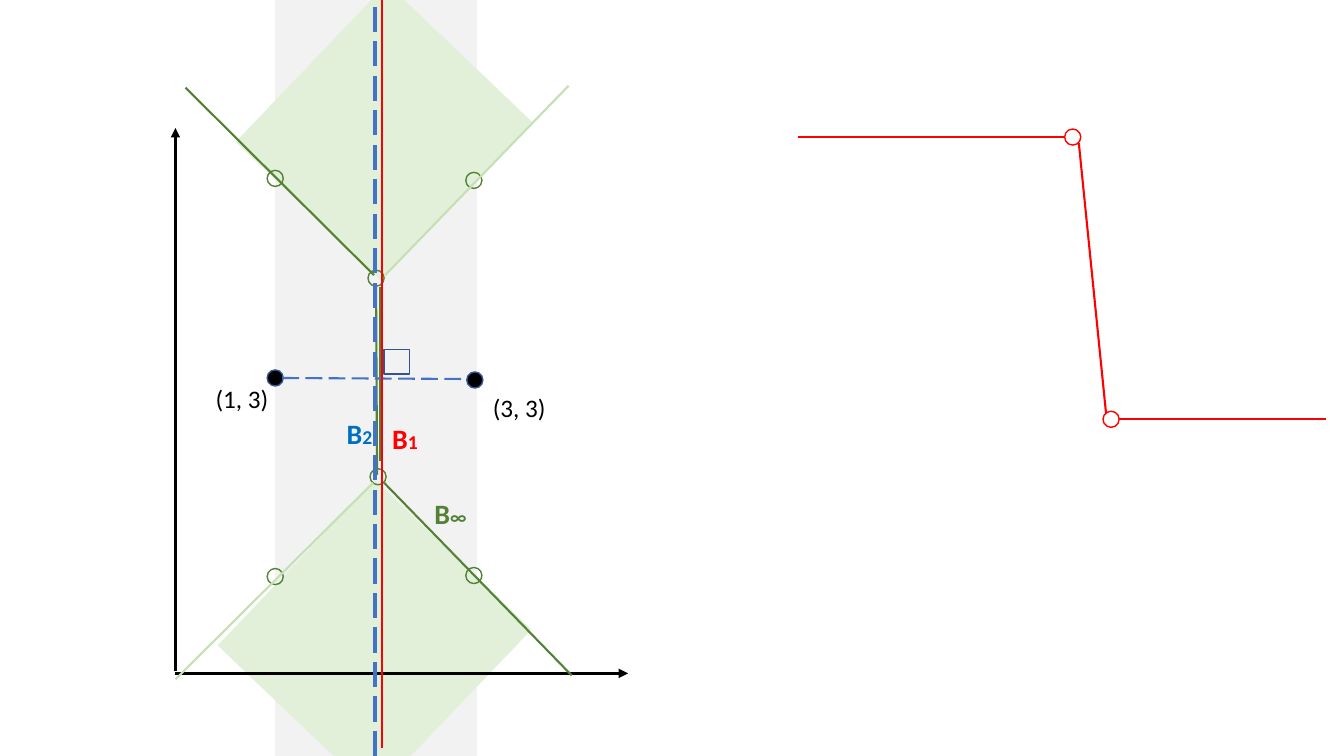
from lxml import etree
from pptx import Presentation
from pptx.dml.color import RGBColor
from pptx.enum.dml import MSO_LINE
from pptx.enum.shapes import MSO_CONNECTOR, MSO_SHAPE
from pptx.enum.text import MSO_AUTO_SIZE
from pptx.oxml.ns import qn
from pptx.util import Emu, Pt

RECT, OVAL = MSO_SHAPE.RECTANGLE, MSO_SHAPE.OVAL
STRAIGHT, DASH = MSO_CONNECTOR.STRAIGHT, MSO_LINE.LONG_DASH
FIT = MSO_AUTO_SIZE.SHAPE_TO_FIT_TEXT
SCALE = 9144  # EMU per px, 100 px to the inch
WIDE, HIGH = 1333, 750
DOT = 16

BLACK, WHITE, RED = "000000", "FFFFFF", "FF0000"
GREEN, PALE, MINT, GREY = "548235", "C5E0B4", "E2F0D9", "F2F2F2"
NAVY, BLUE, SKY = "325491", "4472C4", "0070C0"

# left, top, width, height, colour, turn
ZONES = [
    (273, 0, 199, 750, GREY, 0),
    (259, 526, 225, 213, MINT, 313.7),
    (273, 32, 216, 198, MINT, 313.7),
]
# fill, outline, left-top corners
DOTS = [
    (BLACK, NAVY, [(265, 367), (463, 369)]),
    (WHITE, RED, [(1056, 128), (1094, 408)]),
    (None, GREEN, [(265, 169), (365, 268), (462, 171),
                   (462, 563), (265, 564), (367, 465)]),
]
ANGLE = (381, 347, 25, 24)
# start, end, colour, format
LINES = [
    ((174, 666), (174, 127), BLACK, {"width": 2.25, "arrow": True}),
    ((174, 668), (623, 668), BLACK, {"width": 2.25, "arrow": True}),
    ((1070, 142), (1097, 410), RED, {}),
    ((1110, 416), (1315, 416), RED, {}),
    ((791, 136), (1056, 136), RED, {}),
    ((377, 457), (377, 285), GREEN, {}),
    ((373, 284), (374, 471), GREEN, {}),
    ((184, 87), (371, 273), GREEN, {}),
    ((280, 375), (463, 376), BLUE, {"dash": DASH}),
    ((372, 750), (372, 0), BLUE, {"width": 2.25, "dash": DASH}),
    ((379, -8), (379, 742), RED, {}),
    ((564, 85), (382, 273), PALE, {}),
    ((567, 670), (381, 479), GREEN, {}),
    ((174, 674), (370, 479), PALE, {}),
]
POINTS = [("(1, 3)", 204, 375), ("(3, 3)", 479, 384)]
NAMES = [("1", 379, 413, RED), ("∞", 421, 488, GREEN), ("2", 334, 408, SKY)]


def px(n):
    return Emu(round(n * SCALE))


def rgb(code):
    return RGBColor.from_string(code)


def add_form(kind, box, fill, edge, turn=0):
    form = slide.shapes.add_shape(kind, *map(px, box))
    form.shadow.inherit = False
    form.rotation = turn
    if fill:
        form.fill.solid()
        form.fill.fore_color.rgb = rgb(fill)
    else:
        form.fill.background()
    form.line.color.rgb = rgb(edge)
    form.line.width = Pt(1)


def add_line(start, end, color, width=1.5, dash=None, arrow=False):
    link = slide.shapes.add_connector(STRAIGHT, *map(px, start + end))
    link.line.color.rgb = rgb(color)
    link.line.width = Pt(width)
    if dash:
        link.line.dash_style = dash
    if arrow:
        tail = etree.SubElement(link.line._get_or_add_ln(), qn("a:tailEnd"))
        tail.set("type", "triangle")
    etree.SubElement(link._element.spPr, qn("a:effectLst"))


def add_text(runs, box, color=BLACK, bold=False):
    """Write one line of (text, size) runs."""
    frame = slide.shapes.add_textbox(*map(px, box)).text_frame
    frame.word_wrap = True
    frame.auto_size = FIT
    for text, size in runs:
        run = frame.paragraphs[0].add_run()
        run.text = text
        run.font.name = "Calibri"
        run.font.size = Pt(size)
        run.font.bold = bold
        run.font.color.rgb = rgb(color)


deck = Presentation()
deck.slide_width, deck.slide_height = px(WIDE), px(HIGH)
slide = deck.slides.add_slide(deck.slide_layouts[6])

for *box, color, turn in ZONES:
    add_form(RECT, box, color, color, turn)
for fill, edge, spots in DOTS:
    for left, top in spots:
        add_form(OVAL, (left, top, DOT, DOT), fill, edge)
for start, end, color, style in LINES:
    add_line(start, end, color, **style)
add_form(RECT, ANGLE, None, NAVY)
for text, left, top in POINTS:
    add_text([(text, 18)], (left, top, 94, 40))
for mark, left, top, color in NAMES:
    add_text([("B", 20), (mark, 14)], (left, top, 62, 44), color, bold=True)

deck.save("out.pptx")
